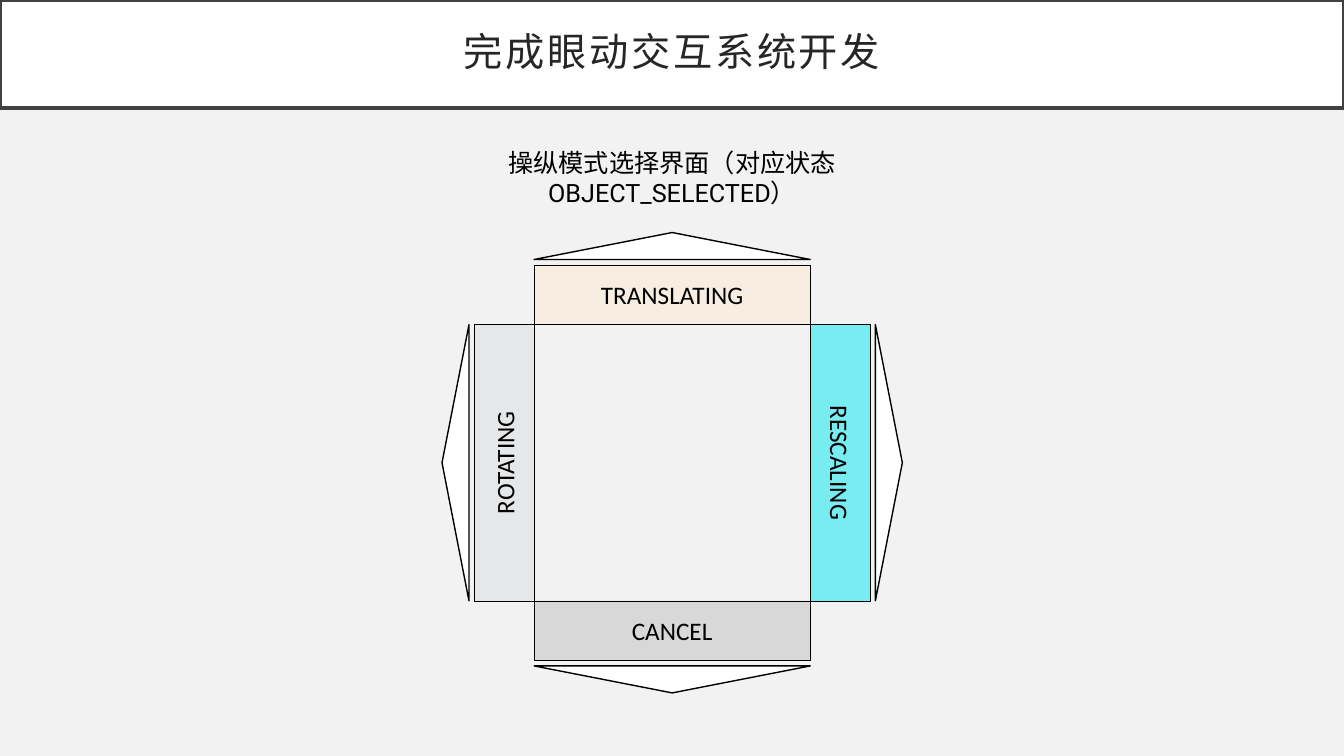
from math import cos, radians, sin

from lxml.etree import SubElement
from pptx import Presentation
from pptx.dml.color import RGBColor
from pptx.enum.shapes import MSO_SHAPE as Preset
from pptx.enum.text import MSO_ANCHOR as Anchor, PP_ALIGN as Align
from pptx.oxml.ns import qn
from pptx.util import Cm, Pt

COLORS = {
    "page": "F2F2F2", "white": "FFFFFF", "black": "000000",
    "frame": "404040", "title": "262626",
    "translating": "FDECD2", "rescaling": "00EAF1",
    "cancel": "BFBFBF", "rotating": "D9DDDF",
}


def paint(shape, fill, line, width):
    shape.shadow.inherit = False
    shape.fill.solid()
    shape.fill.fore_color.rgb = RGBColor.from_string(COLORS[fill])
    shape.line.color.rgb = RGBColor.from_string(COLORS[line])
    shape.line.width = Pt(width)


def write(shape, text, color="black", **format_values):
    para = shape.text_frame.paragraphs[0]
    para.alignment = Align.CENTER
    span = para.add_run()
    span.text = text
    span.font.color.rgb = RGBColor.from_string(COLORS[color])
    for name, value in {"name": "Calibri", "size": Pt(18), **format_values}.items():
        setattr(span.font, name, value)
    return para


# Page
deck = Presentation()
deck.slide_width, deck.slide_height = Cm(33.87), Cm(19.05)
page = deck.slides.add_slide(deck.slide_layouts[6])
page.background.fill.solid()
page.background.fill.fore_color.rgb = RGBColor.from_string(COLORS["page"])

# Title bar
title = page.shapes.add_shape(Preset.RECTANGLE, 0, 0, deck.slide_width, Cm(2.72))
paint(title, "white", "frame", 2.5)
title.text_frame.vertical_anchor = Anchor.MIDDLE
for side in ("left", "top", "right", "bottom"):
    setattr(title.text_frame, f"margin_{side}", Cm(0.5))
heading = write(title, "完成眼动交互系统开发", "title", size=Pt(28))
heading.line_spacing = 0.9
heading.runs[0].font._element.set("spc", "200")

# Caption
caption = page.shapes.add_textbox(Cm(9.55), Cm(3.58), Cm(14.78), Cm(1.02))
caption.text_frame.word_wrap = False
write(caption, "操纵模式选择界面（对应状态OBJECT_SELECTED）", name="Roboto")

# Four mode bars, each with an outward arrow, around a common centre
CENTER_X, CENTER_Y, LENGTH = 16.94, 11.66, 6.96
modes = [
    ("TRANSLATING", 0, 0), ("RESCALING", 90, 90),
    ("CANCEL", 180, 0), ("ROTATING", 270, 270),
]
menu = page.shapes.add_group_shape()
for label, direction, bar_turn in modes:
    parts = [
        (Preset.RECTANGLE, 4.23, 1.5, bar_turn, label.lower(), 0.25),
        (Preset.ISOSCELES_TRIANGLE, 5.46, 0.68, direction, "white", 1),
    ]
    for preset, distance, height, turn, fill, width in parts:
        x = CENTER_X + distance * sin(radians(direction))
        y = CENTER_Y - distance * cos(radians(direction))
        part = menu.shapes.add_shape(
            preset, Cm(x - LENGTH / 2), Cm(y - height / 2), Cm(LENGTH), Cm(height))
        part.rotation = turn
        paint(part, fill, "black", width)
        if preset == Preset.RECTANGLE:
            part.text_frame.vertical_anchor = Anchor.MIDDLE
            write(part, label)
            # Half-transparent fill
            tint = part.fill._xPr.find(qn("a:solidFill"))[0]
            SubElement(tint, qn("a:alpha"), val="50000")

deck.save("out.pptx")
